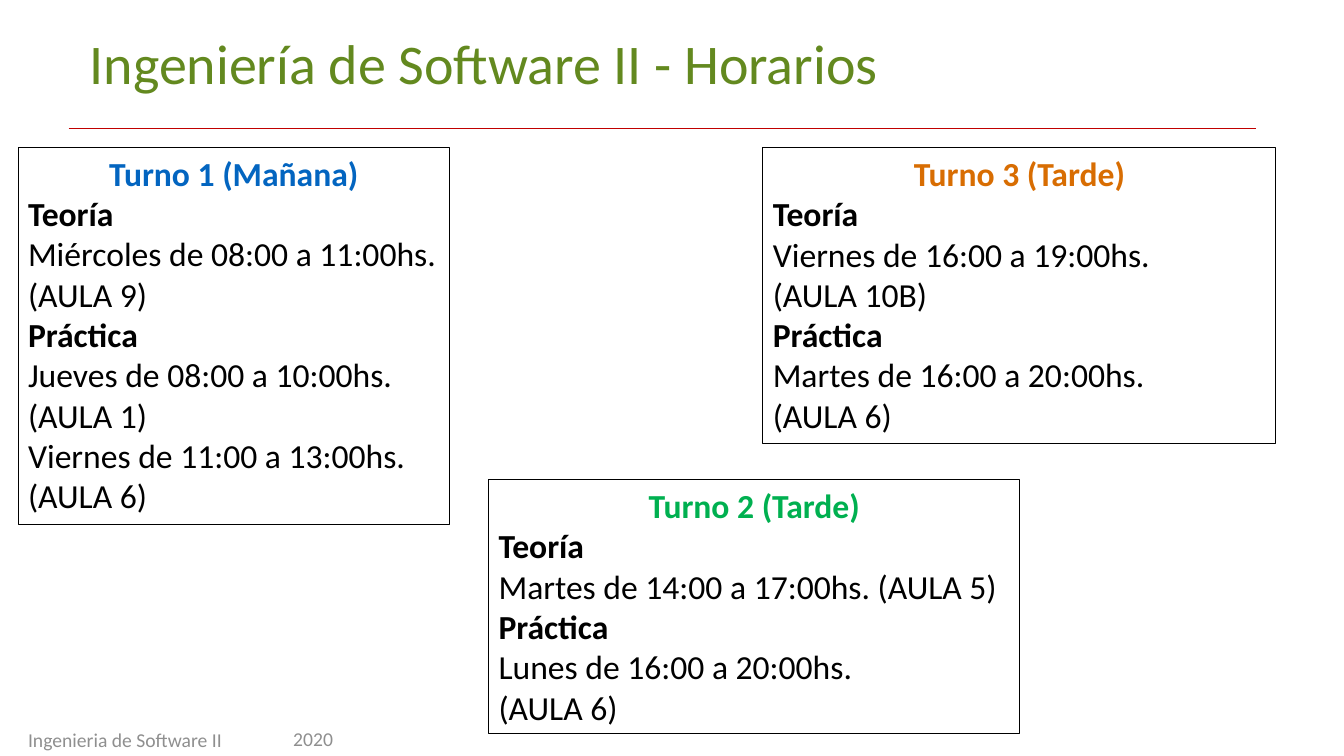
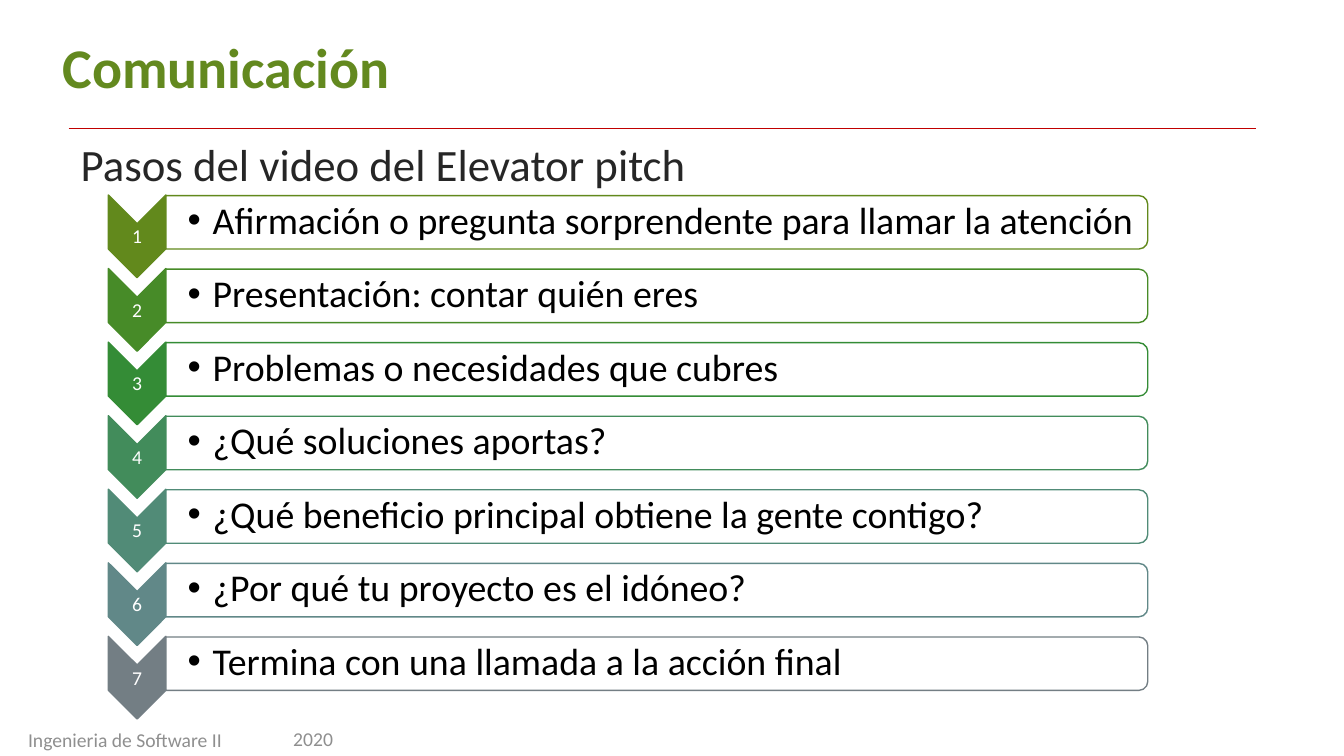
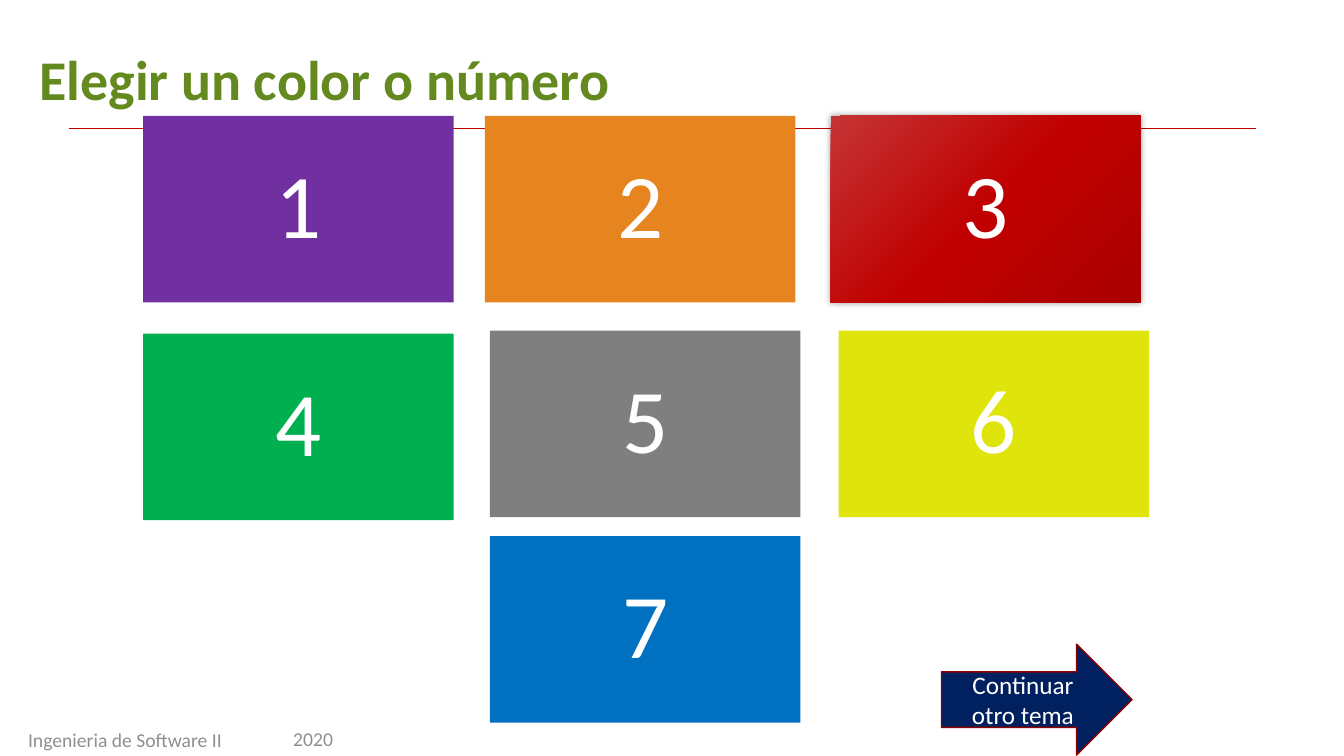
from dataclasses import dataclass
from typing import NamedTuple

from lxml.etree import SubElement
from pptx import Presentation
from pptx.dml.color import RGBColor
from pptx.enum.shapes import MSO_CONNECTOR as CONN, MSO_SHAPE as SHAPE
from pptx.enum.text import MSO_ANCHOR as ANCHOR, MSO_AUTO_SIZE as AUTO, PP_ALIGN as ALIGN
from pptx.oxml.ns import qn
from pptx.util import Emu, Inches, Pt

FONT = "Calibri"
GREEN, RED, GRAY = "63891F", "C00000", "8F8F8F"
BLACK, WHITE, DARK = "000000", "FFFFFF", "262626"
WIDTH, HEIGHT = Inches(13.33), Inches(7.5)
TITLE_ONLY, TITLE_BODY = 5, 1
PAD = (0.1, 0.05)


class Box(NamedTuple):
    """Left, top, width and height in percent of the slide."""
    x: float
    y: float
    w: float
    h: float

    def frame(self) -> tuple[Emu, Emu, Emu, Emu]:
        return (Emu(int(WIDTH * self.x / 100)), Emu(int(HEIGHT * self.y / 100)),
                Emu(int(WIDTH * self.w / 100)), Emu(int(HEIGHT * self.h / 100)))

    def down(self, dy: float) -> "Box":
        return self._replace(y=self.y + dy)


@dataclass(frozen=True)
class Style:
    size: float
    color: str = BLACK
    bold: bool = False
    align: ALIGN = ALIGN.LEFT
    spacing: float = 1.0
    bullet: bool = False


class Card(NamedTuple):
    box: Box
    color: str
    heading: str
    theory: list[str]
    practice: list[str]


class Step(NamedTuple):
    color: str
    text: str


class Tile(NamedTuple):
    x: float
    y: float
    color: str


TITLE = Style(40, GREEN)
TITLE_BOLD = Style(40, GREEN, bold=True, spacing=0.85)
FOOTER = Style(14, GRAY)
CARD_TEXT = Style(24)
CARD_LABEL = Style(24, bold=True)
LEAD = Style(32, DARK)
STEP_NUMBER = Style(14, WHITE, align=ALIGN.CENTER, spacing=0.9)
STEP_TEXT = Style(27, spacing=0.9, bullet=True)
TILE_TEXT = Style(65, WHITE, align=ALIGN.CENTER, spacing=0.9)
ARROW_TEXT = Style(18, WHITE, align=ALIGN.CENTER)

FOOTERS = [(Box(1.35, 95.6, 17.7, 3.07), "Ingenieria de Software II"),
           (Box(21.08, 95.47, 6.75, 3.73), "2020")]

CARDS = [
    Card(Box(1.35, 19.55, 32.1, 49.87), "0365C0", "Turno 1 (Mañana)",
         ["Miércoles de 08:00 a 11:00hs.", "(AULA 9)"],
         ["Jueves de 08:00 a 10:00hs.", "(AULA 1)",
          "Viernes de 11:00 a 13:00hs.", "(AULA 6)"]),
    Card(Box(36.36, 63.47, 39.53, 33.6), "00B050", "Turno 2 (Tarde)",
         ["Martes de 14:00 a 17:00hs. (AULA 5)"],
         ["Lunes de 16:00 a 20:00hs.", "(AULA 6)"]),
    Card(Box(56.76, 19.55, 38.18, 39.07), "D86D02", "Turno 3 (Tarde)",
         ["Viernes de 16:00 a 19:00hs.", "(AULA 10B)"],
         ["Martes de 16:00 a 20:00hs.", "(AULA 6)"]),
]

STEPS = [
    Step("62891C", "Afirmación o pregunta sorprendente para llamar la atención"),
    Step("478B28", "Presentación: contar quién eres"),
    Step("348C36", "Problemas o necesidades que cubres"),
    Step("428C5B", "¿Qué soluciones aportas?"),
    Step("518B77", "¿Qué beneficio principal obtiene la gente contigo?"),
    Step("618888", "¿Por qué tu proyecto es el idóneo?"),
    Step("737E84", "Termina con una llamada a la acción final"),
]
STEP_PITCH = 9.73
CHEVRON = Box(8.06, 25.8, 4.28, 10.93)
NUMBER = Box(8.06, 29.73, 4.28, 3.33)
BAR = Box(12.35, 25.87, 73.05, 7.07)
BAR_TEXT = Box(12.38, 26.13, 74.5, 6.4)

TILES = [
    Tile(10.65, 15.33, "7030A0"), Tile(36.08, 15.33, "E6841F"), Tile(61.8, 15.33, RED),
    Tile(10.65, 44.13, "00B050"), Tile(36.45, 43.73, "7F7F7F"), Tile(62.4, 43.73, "DFE40A"),
    Tile(36.45, 70.93, "0070C0"),
]
TILE_W, TILE_H = 23.1, 24.67
GLOSSY_TILE = 3
GLOSS = [(0, "C53435"), (50, RED), (100, "AB0000")]


def rgb(color: str) -> RGBColor:
    return RGBColor.from_string(color)


def setup(tf, anchor: ANCHOR = ANCHOR.TOP, pad: tuple[float, float] = PAD) -> None:
    tf.auto_size = AUTO.NONE
    tf.word_wrap = True
    tf.vertical_anchor = anchor
    tf.margin_left = tf.margin_right = Inches(pad[0])
    tf.margin_top = tf.margin_bottom = Inches(pad[1])


def write(tf, lines: list[tuple[str, Style]]) -> None:
    for i, (text, style) in enumerate(lines):
        p = tf.add_paragraph() if i else tf.paragraphs[0]
        p.alignment = style.align
        p.line_spacing = style.spacing
        p.space_before = p.space_after = Pt(0)
        indent = Inches(0.25) if style.bullet else 0
        pPr = p._p.get_or_add_pPr()
        pPr.set("marL", str(indent))
        pPr.set("indent", str(-indent))
        if style.bullet:
            SubElement(pPr, qn("a:buFont"), typeface="Arial")
            SubElement(pPr, qn("a:buChar"), char="•")
        else:
            SubElement(pPr, qn("a:buNone"))
        r = p.add_run()
        r.text = text
        r.font.name = FONT
        r.font.size = Pt(style.size)
        r.font.bold = style.bold
        r.font.color.rgb = rgb(style.color)


def place(sp, box: Box) -> None:
    sp.left, sp.top, sp.width, sp.height = box.frame()


def add_text(s, box: Box, text: str, style: Style, anchor: ANCHOR = ANCHOR.TOP,
             pad: tuple[float, float] = PAD) -> None:
    tf = s.shapes.add_textbox(*box.frame()).text_frame
    setup(tf, anchor, pad)
    write(tf, [(text, style)])


def add_shape(s, kind: SHAPE, box: Box, fill: str, line: str = "", weight: float = 1):
    sp = s.shapes.add_shape(kind, *box.frame())
    sp.shadow.inherit = False
    sp.fill.solid()
    sp.fill.fore_color.rgb = rgb(fill)
    if line:
        sp.line.color.rgb = rgb(line)
        sp.line.width = Pt(weight)
    else:
        sp.line.fill.background()
    return sp


def quarter_turn(sp) -> None:
    dx = (sp.width - sp.height) // 2
    sp.left, sp.top = sp.left + dx, sp.top - dx
    sp.width, sp.height = sp.height, sp.width
    sp.rotation = 90


def add_slide(prs, layout: int, title: str, box: Box, style: Style):
    s = prs.slides.add_slide(prs.slide_layouts[layout])
    sp = s.shapes.title
    place(sp, box)
    setup(sp.text_frame, ANCHOR.MIDDLE)
    write(sp.text_frame, [(title, style)])
    left, top, width, _ = Box(5.1, 17.03, 88.35, 0).frame()
    rule = s.shapes.add_connector(CONN.STRAIGHT, left, top, left + width, top)
    rule.line.color.rgb = rgb(RED)
    rule.line.width = Pt(0.75)
    SubElement(rule._element.spPr, qn("a:effectLst"))
    for footer_box, text in FOOTERS:
        add_text(s, footer_box, text, FOOTER)
    return s


def add_card(s, card: Card) -> None:
    sp = add_shape(s, SHAPE.RECTANGLE, card.box, WHITE, BLACK, 0.75)
    setup(sp.text_frame)
    heading = Style(24, card.color, bold=True, align=ALIGN.CENTER)
    write(sp.text_frame, [
        (card.heading, heading),
        ("Teoría", CARD_LABEL), *((t, CARD_TEXT) for t in card.theory),
        ("Práctica", CARD_LABEL), *((t, CARD_TEXT) for t in card.practice),
    ])


def add_step(s, index: int, step: Step) -> None:
    dy = index * STEP_PITCH
    chevron = add_shape(s, SHAPE.CHEVRON, CHEVRON.down(dy), step.color, step.color)
    quarter_turn(chevron)
    bar = add_shape(s, SHAPE.ROUND_2_SAME_RECTANGLE, BAR.down(dy), WHITE, step.color)
    quarter_turn(bar)
    add_text(s, NUMBER.down(dy), str(index + 1), STEP_NUMBER, ANCHOR.MIDDLE, (0.01, 0.01))
    add_text(s, BAR_TEXT.down(dy), step.text, STEP_TEXT, ANCHOR.MIDDLE, (0.21, 0.02))


def add_gloss(sp) -> None:
    sp.fill.gradient()
    sp.fill.gradient_angle = 315
    spPr = sp._element.spPr
    stops = spPr.find(qn("a:gradFill")).find(qn("a:gsLst"))
    for stop in list(stops):
        stops.remove(stop)
    for position, color in GLOSS:
        stop = SubElement(stops, qn("a:gs"), pos=str(position * 1000))
        SubElement(stop, qn("a:srgbClr"), val=color)
    shadow = SubElement(spPr.find(qn("a:effectLst")), qn("a:outerShdw"),
                        blurRad=str(Pt(5)), dist="0", dir="0")
    tint = SubElement(shadow, qn("a:srgbClr"), val=BLACK)
    SubElement(tint, qn("a:alpha"), val="40000")


def add_tile(s, number: int, tile: Tile) -> None:
    sp = add_shape(s, SHAPE.RECTANGLE, Box(tile.x, tile.y, TILE_W, TILE_H), tile.color)
    if number == GLOSSY_TILE:
        add_gloss(sp)
    setup(sp.text_frame, ANCHOR.MIDDLE, (0.27, 0.27))
    write(sp.text_frame, [(str(number), TILE_TEXT)])


def schedule_slide(prs) -> None:
    s = add_slide(prs, TITLE_ONLY, "Ingeniería de Software II - Horarios",
                  Box(5.93, 0, 88.35, 16.4), TITLE)
    for card in CARDS:
        add_card(s, card)


def pitch_slide(prs) -> None:
    s = add_slide(prs, TITLE_BODY, "Comunicación", Box(3.9, 0.13, 88.65, 18.53), TITLE_BOLD)
    body = s.placeholders[1]
    place(body, Box(5.25, 17.47, 80.33, 65.33))
    setup(body.text_frame)
    write(body.text_frame, [("Pasos del video del Elevator pitch", LEAD)])
    for index, step in enumerate(STEPS):
        add_step(s, index, step)


def choice_slide(prs) -> None:
    s = add_slide(prs, TITLE_ONLY, "Elegir un color o número",
                  Box(2.18, 1.73, 88.65, 18.53), TITLE_BOLD)
    for number, tile in enumerate(TILES, 1):
        add_tile(s, number, tile)
    arrow = add_shape(s, SHAPE.RIGHT_ARROW, Box(70.05, 85.2, 14.18, 14.67), "002060", "8C0000")
    setup(arrow.text_frame, ANCHOR.MIDDLE)
    write(arrow.text_frame, [("Continuar otro tema", ARROW_TEXT)])


def main() -> None:
    prs = Presentation()
    prs.slide_width, prs.slide_height = WIDTH, HEIGHT
    schedule_slide(prs)
    pitch_slide(prs)
    choice_slide(prs)
    prs.save("out.pptx")


if __name__ == "__main__":
    main()
